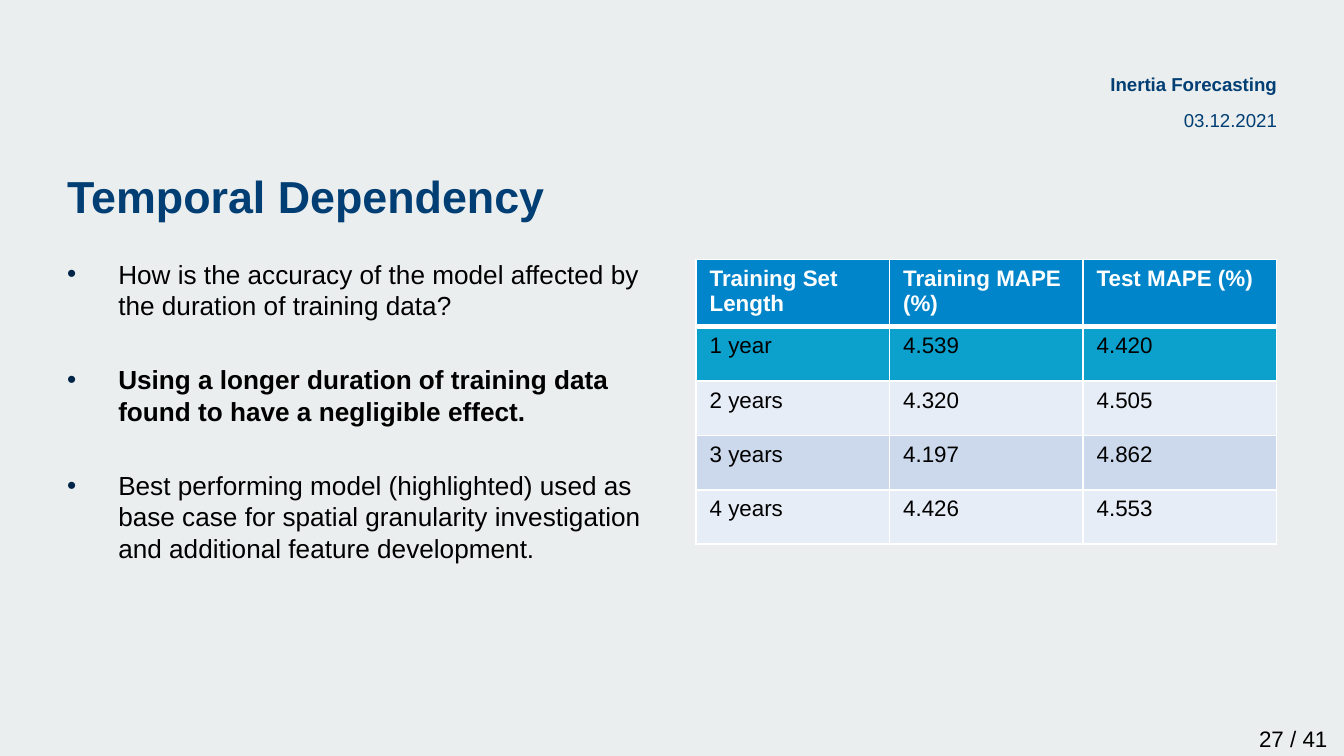
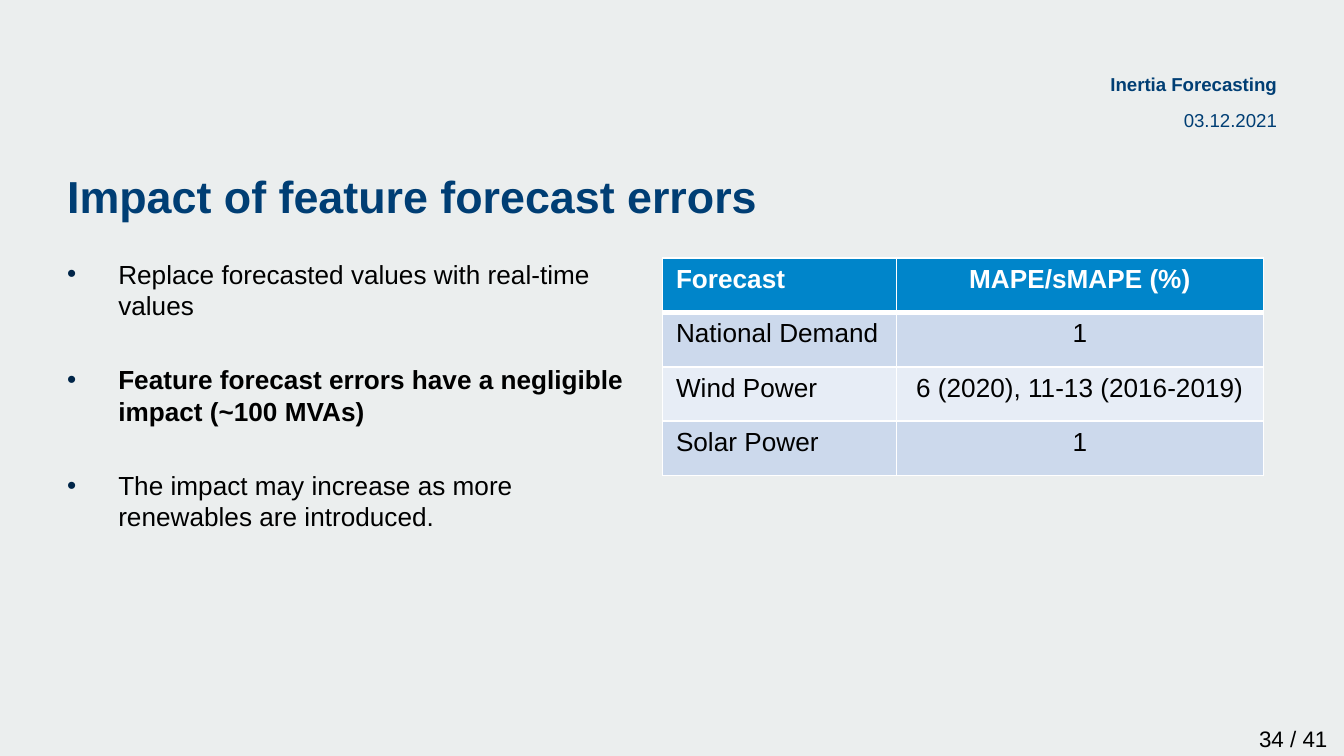
from dataclasses import dataclass

from lxml import etree
from pptx import Presentation
from pptx.dml.color import RGBColor
from pptx.enum.text import MSO_ANCHOR, PP_ALIGN
from pptx.oxml.ns import qn
from pptx.util import Inches, Pt


@dataclass(frozen=True)
class Theme:
    font: str = "Arial"
    back: str = "EBEEEE"
    navy: str = "003E74"
    bullet: str = "002548"
    text: str = "000000"
    white: str = "FFFFFF"
    header: str = "0085CA"
    highlight: str = "0CA1CD"
    bands: tuple = ("CCD9EC", "E7EDF6")
    title_size: int = 24
    body_size: int = 14
    small_size: int = 12
    running_size: int = 10


class Deck:
    row_height = 1.62 / 4

    def __init__(self, prs, theme):
        self.prs, self.theme, self.s = prs, theme, None

    def slide(self, title, number):
        """Start a slide with the shared background, heading and footer."""
        t = self.theme
        self.s = self.prs.slides.add_slide(self.prs.slide_layouts[6])
        self.s.background.fill.solid()
        self.s.background.fill.fore_color.rgb = RGBColor.from_string(t.back)
        self.text((9.27, 5.35, 0.97, 0.3), f"{number} / 41", t.small_size,
                  t.text, insets=(0.1, 0.05, 0.1, 0.05))
        self.text((0.5, 1.22, 9, 0.42), title, t.title_size, t.navy, bold=True,
                  insets=(0, 0.05, 0, 0), anchor=MSO_ANCHOR.MIDDLE)
        self.text((7.17, 0.54, 2.33, 0.26), "Inertia Forecasting",
                  t.running_size, t.navy, bold=True, align=PP_ALIGN.RIGHT)
        self.text((7.92, 0.81, 1.58, 0.21), "03.12.2021",
                  t.running_size, t.navy, align=PP_ALIGN.RIGHT)

    def frame(self, box, insets=(0, 0, 0, 0), anchor=MSO_ANCHOR.TOP):
        tf = self.s.shapes.add_textbox(*map(Inches, box)).text_frame
        left, top, right, bottom = map(Inches, insets)
        values = {"word_wrap": True, "vertical_anchor": anchor,
                  "margin_left": left, "margin_top": top,
                  "margin_right": right, "margin_bottom": bottom}
        for name, value in values.items():
            setattr(tf, name, value)
        return tf

    def run(self, p, text, size, color, bold=False, align=PP_ALIGN.LEFT):
        p.alignment = align
        r = p.add_run()
        r.text = text
        values = {"name": self.theme.font, "size": Pt(size), "bold": bold}
        for name, value in values.items():
            setattr(r.font, name, value)
        r.font.color.rgb = RGBColor.from_string(color)

    def text(self, box, text, size, color, bold=False, align=PP_ALIGN.LEFT, **frame):
        tf = self.frame(box, **frame)
        self.run(tf.paragraphs[0], text, size, color, bold, align)

    def bullets(self, items):
        """Write (text, bold) items as a spaced bullet list."""
        t = self.theme
        tf = self.frame((0.5, 1.92, 4.32, 2.86))
        for i, (text, bold) in enumerate(items):
            p = tf.add_paragraph() if i else tf.paragraphs[0]
            p.space_before = Pt(23 if i else 3)
            self.run(p, text, t.body_size, t.text, bold)
            pPr = p._p.get_or_add_pPr()
            pPr.set("marL", str(Inches(0.38)))
            pPr.set("indent", str(-Inches(0.38)))
            color = etree.SubElement(pPr, qn("a:buClr"))
            etree.SubElement(color, qn("a:srgbClr"), val=t.bullet)
            etree.SubElement(pPr, qn("a:buFont"), typeface=t.font)
            etree.SubElement(pPr, qn("a:buChar"), char="•")

    def borders(self, cell, row):
        """Draw white edges, with a heavy rule under the header row."""
        widths = {"L": 1, "R": 1, "T": 3 if row == 1 else 1, "B": 1 if row else 3}
        tcPr = cell._tc.get_or_add_tcPr()
        for side, width in widths.items():
            ln = etree.SubElement(tcPr, qn(f"a:ln{side}"), w=str(Pt(width)))
            fill = etree.SubElement(ln, qn("a:solidFill"))
            etree.SubElement(fill, qn("a:srgbClr"), val=self.theme.white)

    def table(self, left, top, widths, rows, size, aligns, highlight=None):
        t = self.theme
        box = (left, top, sum(widths), self.row_height * len(rows))
        table = self.s.shapes.add_table(len(rows), len(widths), *map(Inches, box)).table
        for column, width in zip(table.columns, widths):
            column.width = Inches(width)
        for i, values in enumerate(rows):
            fill = t.bands[(i - 1) % 2]
            if i == 0:
                fill = t.header
            elif i == highlight:
                fill = t.highlight
            for j, (value, align) in enumerate(zip(values, aligns)):
                cell = table.cell(i, j)
                self.borders(cell, i)
                cell.fill.solid()
                cell.fill.fore_color.rgb = RGBColor.from_string(fill)
                self.run(cell.text_frame.paragraphs[0], value, size,
                         t.text if i else t.white, i == 0, align)


def temporal_dependency(deck):
    deck.slide("Temporal Dependency", 27)
    deck.bullets([
        ("How is the accuracy of the model affected by the duration of training data?", False),
        ("Using a longer duration of training data found to have a negligible effect.", True),
        ("Best performing model (highlighted) used as base case for spatial "
         "granularity investigation and additional feature development.", False),
    ])
    deck.table(5.18, 1.93, [1.44] * 3, [
        ("Training Set Length", "Training MAPE (%)", "Test MAPE (%)"),
        ("1 year", "4.539", "4.420"),
        ("2 years", "4.320", "4.505"),
        ("3 years", "4.197", "4.862"),
        ("4 years", "4.426", "4.553"),
    ], deck.theme.small_size, [PP_ALIGN.LEFT] * 3, highlight=1)


def forecast_errors(deck):
    deck.slide("Impact of feature forecast errors", 34)
    deck.bullets([
        ("Replace forecasted values with real-time values", False),
        ("Feature forecast errors have a negligible impact (~100 MVAs)", True),
        ("The impact may increase as more renewables are introduced.", False),
    ])
    deck.table(4.93, 1.92, [1.74, 2.73], [
        ("Forecast", "MAPE/sMAPE (%)"),
        ("National Demand", "1"),
        ("Wind Power", "6 (2020), 11-13 (2016-2019)"),
        ("Solar Power", "1"),
    ], deck.theme.body_size, [PP_ALIGN.LEFT, PP_ALIGN.CENTER])


def main():
    prs = Presentation()
    # Widescreen, 16:9
    prs.slide_width, prs.slide_height = Inches(10), Inches(10 * 9 / 16)
    deck = Deck(prs, Theme())
    temporal_dependency(deck)
    forecast_errors(deck)
    prs.save("out.pptx")


if __name__ == "__main__":
    main()
